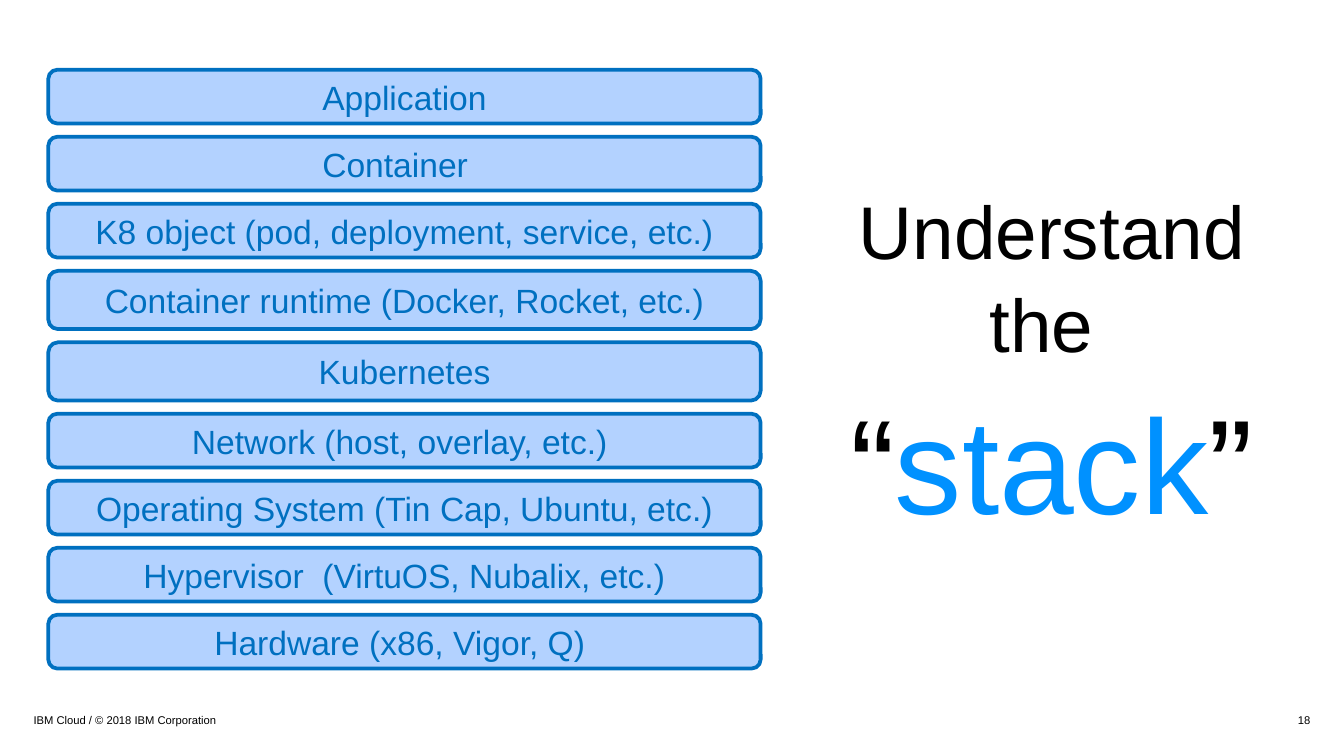
from lxml import etree
from pptx import Presentation
from pptx import util as u
from pptx.dml.color import RGBColor
from pptx.enum import shapes, text
from pptx.oxml.ns import qn

COLOURS = {"ink": "000000", "layer": "69A6FF", "edge": "0070C0", "accent": "0091FF"}

# Layers from top to bottom, with heights in points
LOW, TALL = 28.8, 31.2
LAYERS = [
    ("Application", LOW),
    ("Container  ", LOW),
    ("K8 object (pod, deployment, service, etc.)", LOW),
    ("Container runtime (Docker, Rocket, etc.)", TALL),
    ("Kubernetes", TALL),
    ("Network (host, overlay, etc.) ", LOW),
    ("Operating System (Tin Cap, Ubuntu, etc.)", LOW),
    ("Hypervisor  (VirtuOS, Nubalix, etc.)", LOW),
    ("Hardware (x86, Vigor, Q) ", LOW),
]
STACK_LEFT, STACK_TOP, STACK_WIDTH, GAP = 25.9, 37.4, 381.6, 7.1


class Slide:
    """Holds the style and the page being built."""

    font = "Arial"

    def __init__(self, deck):
        self.page = deck.slides.add_slide(deck.slide_layouts[5])

    def colour(self, name):
        return RGBColor.from_string(COLOURS[name])

    def style(self, para, size, colour, align):
        para.alignment = align
        para.font.name = self.font
        para.font.size = u.Pt(size)
        para.font.bold = False
        para.font.color.rgb = self.colour(colour)

    def frame(self, box, anchor, inset=None):
        frame = box.text_frame
        frame.word_wrap = True
        frame.auto_size = text.MSO_AUTO_SIZE.NONE
        frame.vertical_anchor = anchor
        if inset is not None:
            frame.margin_left = frame.margin_right = u.Pt(inset)
            frame.margin_top = frame.margin_bottom = u.Pt(inset)
        return frame

    def title(self, left, top, width, height, lines):
        """Each line is (size, space before, [(words, colour), ...])."""
        box = self.page.shapes.title
        box.left, box.top = u.Pt(left), u.Pt(top)
        box.width, box.height = u.Pt(width), u.Pt(height)
        frame = self.frame(box, text.MSO_ANCHOR.TOP, 0)
        for index, (size, before, spans) in enumerate(lines):
            para = frame.add_paragraph() if index else frame.paragraphs[0]
            self.style(para, size, "ink", text.PP_ALIGN.CENTER)
            para.line_spacing = 1.04
            para.space_before = u.Pt(before)
            for words, colour in spans:
                span = para.add_run()
                span.text = words
                span.font.color.rgb = self.colour(colour)

    def layer(self, left, top, width, height, words):
        box = self.page.shapes.add_shape(
            shapes.MSO_SHAPE.ROUNDED_RECTANGLE,
            u.Pt(left), u.Pt(top), u.Pt(width), u.Pt(height))
        box.shadow.inherit = False
        box.fill.solid()
        box.fill.fore_color.rgb = self.colour("layer")
        fill = box._element.spPr.find(qn("a:solidFill"))
        etree.SubElement(fill[0], qn("a:alpha"), val="50000")
        box.line.color.rgb = self.colour("edge")
        box.line.width = u.Pt(2)
        para = self.frame(box, text.MSO_ANCHOR.MIDDLE).paragraphs[0]
        para.text = words
        self.style(para, 18, "edge", text.PP_ALIGN.CENTER)

    def footer(self, left, width, words, align):
        box = self.page.shapes.add_textbox(
            u.Pt(left), u.Pt(380.2), u.Pt(width), u.Pt(10.8))
        para = self.frame(box, text.MSO_ANCHOR.MIDDLE, 0).paragraphs[0]
        para.text = words
        self.style(para, 6, "ink", align)


def main():
    deck = Presentation()
    deck.slide_width, deck.slide_height = u.Pt(720), u.Pt(405)
    slide = Slide(deck)

    # Message on the right
    slide.title(432, 97.3, 262.8, 216, [
        (40, 0, [("Understand the ", "ink")]),
        (72, 3, [("“", "ink"), ("stack", "accent"), ("”", "ink")]),
    ])

    # Stack of layers
    top = STACK_TOP
    for words, height in LAYERS:
        slide.layer(STACK_LEFT, top, STACK_WIDTH, height, words)
        top += height + GAP

    # Footer and page number
    slide.footer(18, 504, "IBM Cloud / © 2018 IBM Corporation", text.PP_ALIGN.LEFT)
    slide.footer(540, 162, "18", text.PP_ALIGN.RIGHT)

    deck.save("out.pptx")


if __name__ == "__main__":
    main()
